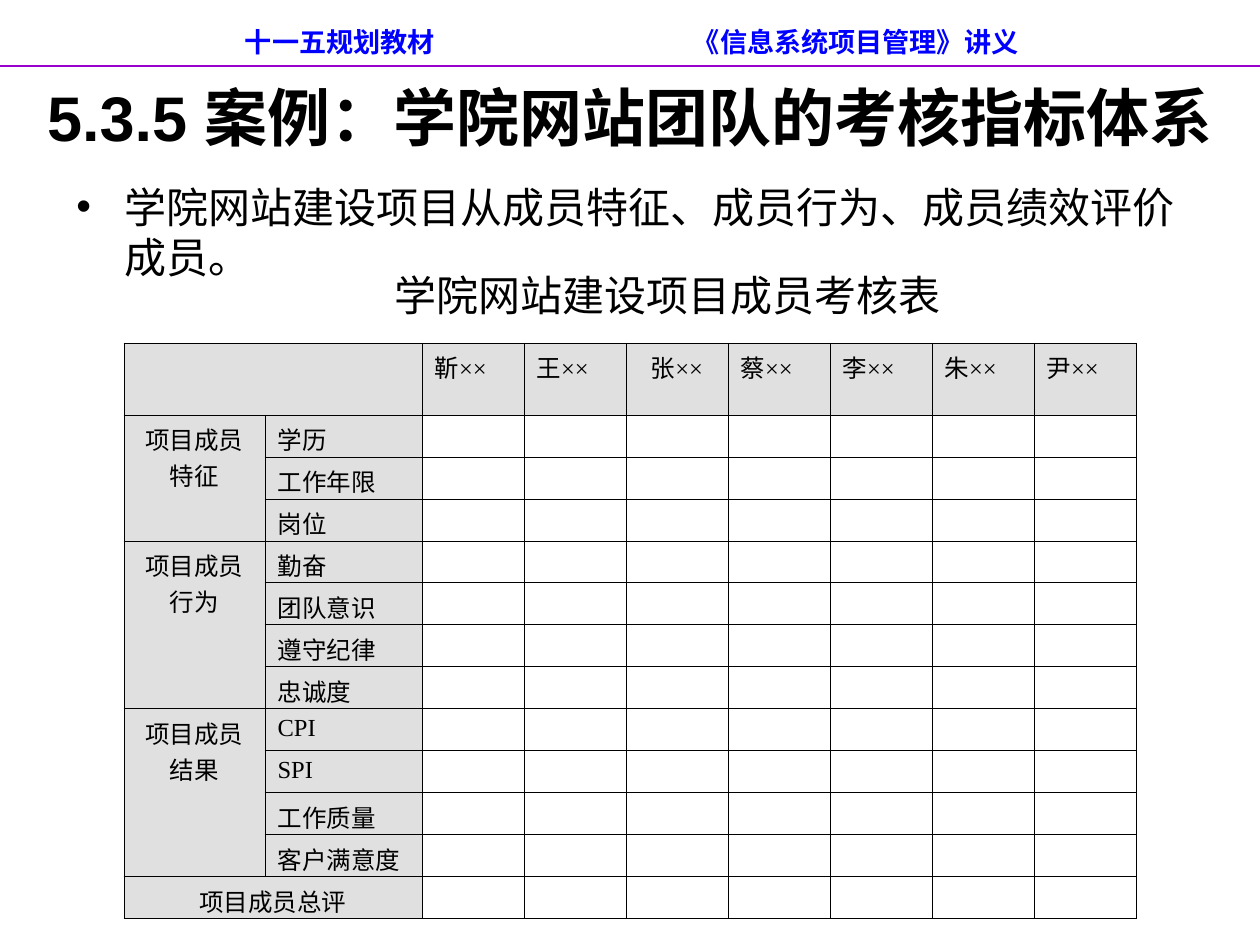
"""Build the slide on the review table for the college website team."""
import dataclasses

import lxml.etree
import pptx
import pptx.dml.color
import pptx.enum.shapes
import pptx.enum.text
import pptx.oxml.ns
import pptx.util

qn = pptx.oxml.ns.qn
Align = pptx.enum.text.PP_ALIGN
Anchor = pptx.enum.text.MSO_ANCHOR
Fit = pptx.enum.text.MSO_AUTO_SIZE


@dataclasses.dataclass(frozen=True)
class Theme:
    sans: str = "Arial"
    serif: str = "Times New Roman"
    ink: str = "000000"
    blue: str = "0000FF"
    rule: str = "9900CC"
    shade: str = "E0E0E0"
    title: float = 36
    body: float = 24
    head: float = 15.5
    cell: float = 14


theme = Theme()


def px(*sides):
    emu = [pptx.util.Emu(round(side * 914400 / 126)) for side in sides]
    return emu if len(emu) > 1 else emu[0]


def put(frame, text, size=theme.body, face=theme.sans, color=theme.ink,
        bold=False, align=Align.LEFT):
    para = frame.paragraphs[0]
    para.alignment = align
    run = para.add_run()
    run.text = text
    run.font.size = pptx.util.Pt(size)
    run.font.name = face
    run.font.bold = bold
    run.font.color.rgb = pptx.dml.color.RGBColor.from_string(color)


deck = pptx.Presentation()
deck.slide_width, deck.slide_height = px(1260, 945)
slide = deck.slides.add_slide(deck.slide_layouts[5])
shapes = slide.shapes

title = shapes.title
title.left, title.top, title.width, title.height = px(0, 38, 1260, 157)
frame = title.text_frame
frame.word_wrap = True
frame.auto_size = Fit.NONE
frame.vertical_anchor = Anchor.MIDDLE
put(frame, "5.3.5 案例：学院网站团队的考核指标体系", size=theme.title,
    bold=True, align=Align.CENTER)

body = shapes.add_textbox(*px(64, 175, 1134, 624)).text_frame
body.word_wrap = True
props = body.paragraphs[0]._p.get_or_add_pPr()
props.set("marL", str(px(48)))
props.set("indent", str(-px(48)))
lxml.etree.SubElement(props, qn("a:buFont")).set("typeface", theme.sans)
lxml.etree.SubElement(props, qn("a:buChar")).set("char", "•")
put(body, "学院网站建设项目从成员特征、成员行为、成员绩效评价成员。")

rule = shapes.add_connector(
    pptx.enum.shapes.MSO_CONNECTOR.STRAIGHT, *px(0, 66, 1260, 66))
rule.line.color.rgb = pptx.dml.color.RGBColor.from_string(theme.rule)
rule.line.width = pptx.util.Pt(0.75)
lxml.etree.SubElement(rule._element.spPr, qn("a:effectLst"))

label = shapes.add_textbox(*px(382, 263, 571, 63)).text_frame
label.word_wrap = False
label.auto_size = Fit.SHAPE_TO_FIT_TEXT
label.vertical_anchor = Anchor.MIDDLE
put(label, "学院网站建设项目成员考核表", face=theme.serif, align=Align.CENTER)

names = ["靳××", "王××", "张××", "蔡××", "李××", "朱××", "尹××"]
groups = {
    "项目成员特征": ["学历", "工作年限", "岗位"],
    "项目成员行为": ["勤奋", "团队意识", "遵守纪律", "忠诚度"],
    "项目成员结果": ["CPI", "SPI", "工作质量", "客户满意度"],
}
blank = [""] * len(names)
rows = [["", ""] + names]
spans = [(0, 0, 0, 1)]
for group, items in groups.items():
    first = len(rows)
    rows += [[group if item == items[0] else "", item] + blank
             for item in items]
    spans.append((first, 0, len(rows) - 1, 0))
rows.append(["项目成员总评", ""] + blank)
spans.append((len(rows) - 1, 0, len(rows) - 1, 1))

wide = [141, 157] + [102] * len(names)
high = [72] + [42] * (len(rows) - 1)
table = shapes.add_table(len(rows), len(wide),
                         *px(124, 343, sum(wide), sum(high))).table
table.first_row = table.horz_banding = False
for col, width in zip(table.columns, wide):
    col.width = px(width)
for row, height in zip(table.rows, high):
    row.height = px(height)
for top, left, low, right in spans:
    table.cell(top, left).merge(table.cell(low, right))

for r, row in enumerate(rows):
    for c, text in enumerate(row):
        cell = table.cell(r, c)
        cell.margin_bottom = 0
        if text in ("遵守纪律", "工作质量"):
            cell.vertical_anchor = Anchor.MIDDLE
        mid = c == 0 or text == "张××"
        if text:
            put(cell.text_frame, text, size=theme.cell, face=theme.serif,
                align=Align.CENTER if mid else Align.LEFT)
        else:
            para = cell.text_frame.paragraphs[0]._p
            end = lxml.etree.SubElement(para, qn("a:endParaRPr"))
            end.set("sz", str(theme.cell * 100))
        props = cell._tc.get_or_add_tcPr()
        for side in ("a:lnL", "a:lnR", "a:lnT", "a:lnB"):
            edge = lxml.etree.SubElement(props, qn(side))
            edge.set("w", str(pptx.util.Pt(0.45)))
            fill = lxml.etree.SubElement(edge, qn("a:solidFill"))
            lxml.etree.SubElement(fill, qn("a:srgbClr")).set("val", theme.ink)
        if r == 0 or c < 2:
            cell.fill.solid()
            cell.fill.fore_color.rgb = pptx.dml.color.RGBColor.from_string(
                theme.shade)
        else:
            cell.fill.background()

head = shapes.add_textbox(*px(64, 18, 1134, 48)).text_frame
head.word_wrap = True
head.vertical_anchor = Anchor.MIDDLE
head.margin_left = px(181)
props = head.paragraphs[0]._p.get_or_add_pPr()
tabs = lxml.etree.SubElement(props, qn("a:tabLst"))
stop = lxml.etree.SubElement(tabs, qn("a:tab"))
stop.set("pos", str(px(448)))
stop.set("algn", "l")
put(head, "十一五规划教材\t《信息系统项目管理》讲义", size=theme.head,
    color=theme.blue, bold=True)

deck.save("out.pptx")
